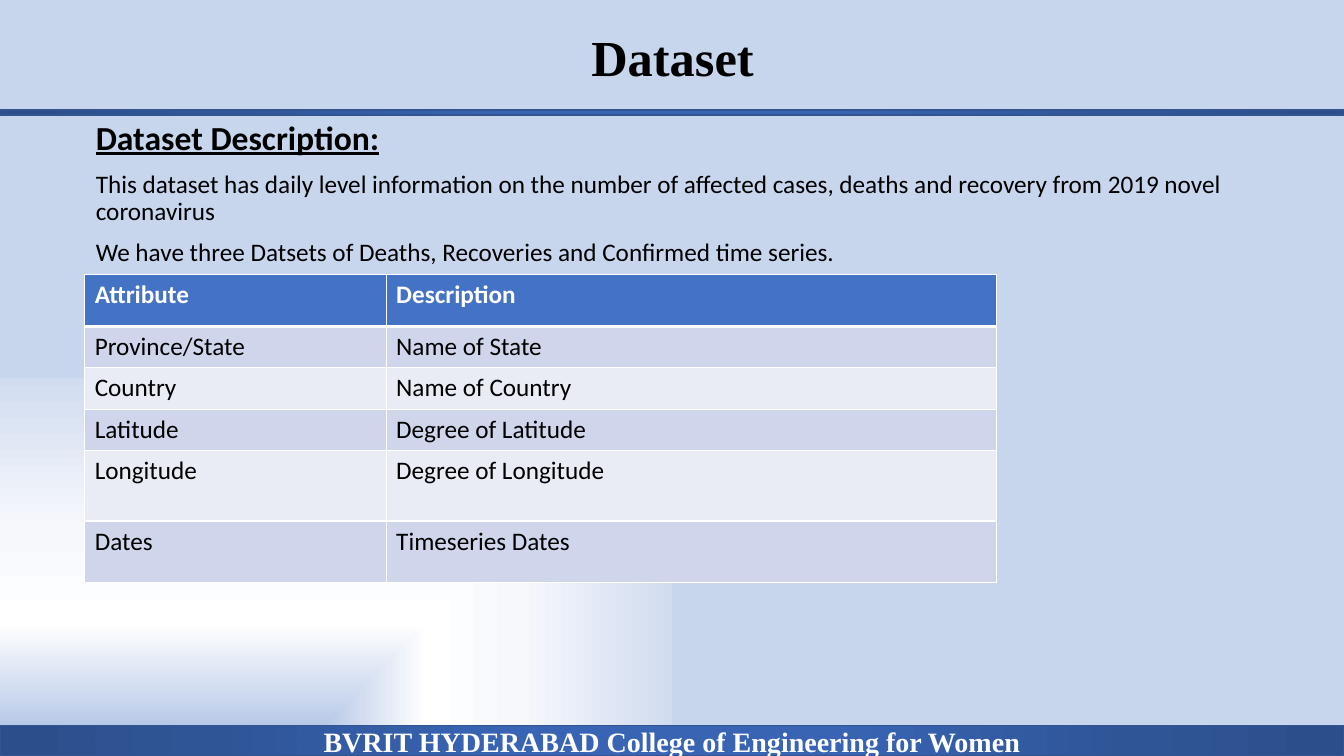
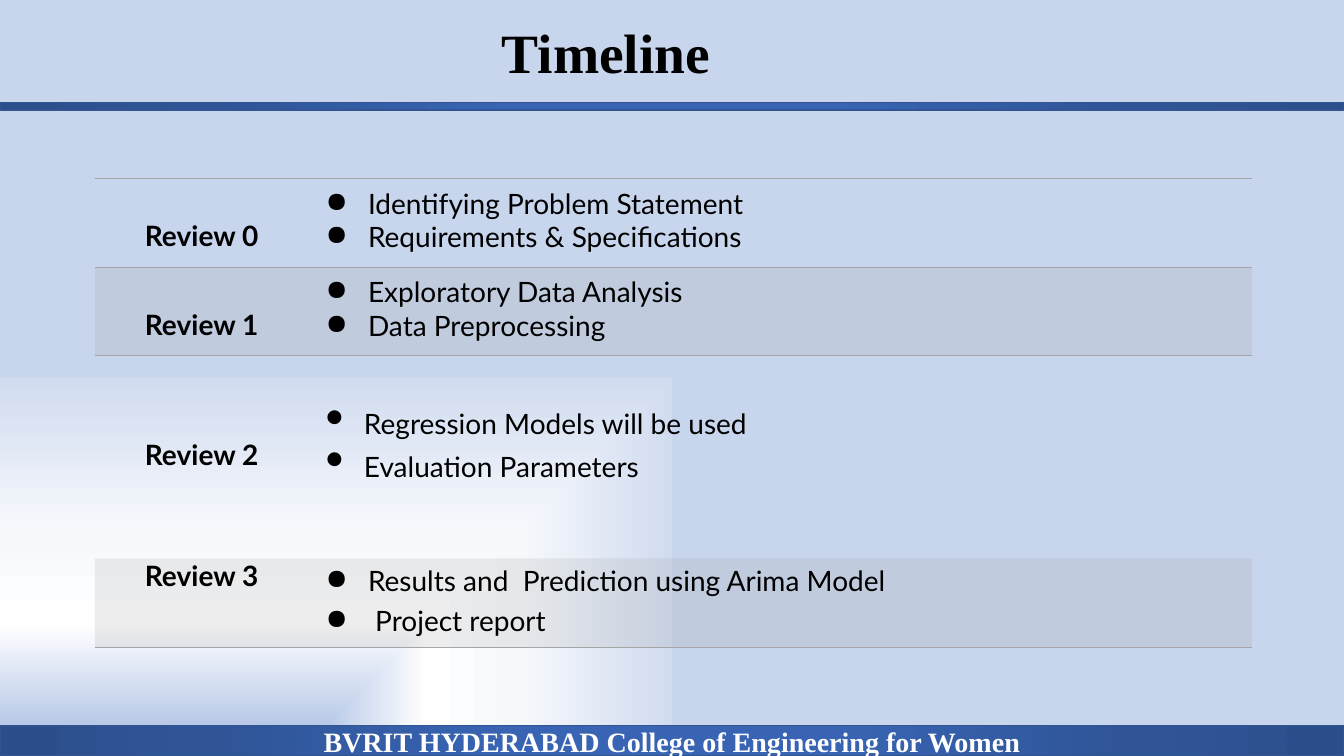
import lxml.etree
import pptx
import pptx.dml.color
import pptx.enum.shapes
import pptx.enum.text
import pptx.oxml.ns
import pptx.util

Inches = pptx.util.Inches
Pt = pptx.util.Pt
qn = pptx.oxml.ns.qn
ALIGN = pptx.enum.text.PP_ALIGN
MIDDLE = pptx.enum.text.MSO_ANCHOR.MIDDLE

WIDTH, HEIGHT = 13.33, 7.5
BLACK, WHITE, GREY = "000000", "FFFFFF", "A5A5A5"
HEADER_BLUE, ROW_DARK, ROW_LIGHT = "4472C4", "CFD5EA", "E9EBF5"
BAND_EDGE = "325491"
BAND_STOPS = [(0, "3864B3"), (23, "3864B3"), (69, "2F5597"), (97, "2C4F8C")]
PAGE_STOPS = [(6, "BECEEA"), (7, "B5C7E7"), (35, "FFFFFF"), (60, "F6F8FC"),
              (100, "D1DCF0"), (100, "ABC0E4"), (100, "C7D5ED")]
SERIF, SANS, LIST_FONT = "Times New Roman", "Calibri", "Lato"
FOOTER = "BVRIT HYDERABAD College of Engineering for Women"
NO_STYLE = "{2D5ABB26-0587-4C30-8999-92F81FD0307C}"

ATTRIBUTES = [
    ("Attribute", "Description"),
    ("Province/State", "Name of State"),
    ("Country", "Name of Country"),
    ("Latitude", "Degree of Latitude"),
    ("Longitude", "Degree of Longitude"),
    ("Dates", "Timeseries Dates"),
]
# Label, its top margin, list items, their top margin, bullet and paragraph format
PLAIN_BULLET = {"bullet": "●", "indent": 0.59, "hang": 0.42}
LARGE_BULLET = {"bullet": "•", "bullet_size": 190, "indent": 0.55, "hang": 0.38, "before": 6}
REVIEWS = [
    ("Review 0", 0.4, ["Identifying Problem Statement", "Requirements & Speciﬁcations"],
     0.08, PLAIN_BULLET),
    ("Review 1", 0.4, ["Exploratory Data Analysis", "Data Preprocessing"],
     0.08, PLAIN_BULLET),
    ("Review 2", 0.81, ["Regression Models will be used", "Evaluation Parameters"],
     0.51, LARGE_BULLET),
    ("Review 3", 0, ["Results and  Prediction using Arima Model", " Project report"],
     0.08, {**PLAIN_BULLET, "spacing": Pt(22.3), "before": 6}),
]


def color(value):
    return pptx.dml.color.RGBColor.from_string(value)


def add_node(parent, tag, **attributes):
    node = lxml.etree.SubElement(parent, qn(tag))
    for name, value in attributes.items():
        node.set(name, str(value))
    return node


def set_gradient(fill, holder, stops, shape, focus):
    """Fill the holder element with a path gradient around the focus rectangle."""
    fill.solid()
    solid = holder.find(qn("a:solidFill"))
    gradient = lxml.etree.Element(qn("a:gradFill"), rotWithShape="1")
    stop_list = add_node(gradient, "a:gsLst")
    for position, value in stops:
        stop = add_node(stop_list, "a:gs", pos=position * 1000)
        add_node(stop, "a:srgbClr", val=value)
    outline = add_node(gradient, "a:path", path=shape)
    sides = {side: part * 1000 for side, part in zip("ltrb", focus)}
    add_node(outline, "a:fillToRect", **sides)
    holder.replace(solid, gradient)


def write(para, text, font=SANS, size=18, fill=BLACK, bold=False, underline=False,
          align=ALIGN.LEFT, spacing=None, before=0, bullet=None, bullet_size=100,
          indent=0, hang=0):
    properties = para._p.get_or_add_pPr()
    properties.set("marL", str(Inches(indent)))
    properties.set("indent", str(-Inches(hang)))
    if bullet:
        add_node(properties, "a:buSzPct", val=bullet_size * 1000)
        add_node(properties, "a:buChar", char=bullet)
    else:
        add_node(properties, "a:buNone")
    para.alignment = align
    para.space_before = Pt(before)
    if spacing:
        para.line_spacing = spacing
    span = para.add_run()
    span.text = text
    span.font.name = font
    span.font.size = Pt(size)
    span.font.bold = bold
    span.font.underline = underline
    span.font.color.rgb = color(fill)


def write_list(frame, entries, **shared):
    """Write (text, format) entries as the paragraphs of a frame."""
    for index, (text, own) in enumerate(entries):
        para = frame.add_paragraph() if index else frame.paragraphs[0]
        options = {**shared, **own}
        if index == 0:
            options["before"] = 0
        write(para, text, **options)


def place(box, left, top, width, height):
    box.left, box.top = Inches(left), Inches(top)
    box.width, box.height = Inches(width), Inches(height)


def add_title(page, text, size, left, top, width, height):
    box = page.shapes.title
    place(box, left, top, width, height)
    frame = box.text_frame
    frame.auto_size = pptx.enum.text.MSO_AUTO_SIZE.NONE
    frame.vertical_anchor = MIDDLE
    write(frame.paragraphs[0], text, font=SERIF, size=size, bold=True,
          align=ALIGN.CENTER, spacing=0.9)


def add_band(page, top, height, text=None):
    """Full-width blue band, with optional centred text."""
    band = page.shapes.add_shape(pptx.enum.shapes.MSO_SHAPE.RECTANGLE, 0, Inches(top),
                                 Inches(WIDTH), Inches(height))
    band.shadow.inherit = False
    set_gradient(band.fill, band._element.spPr, BAND_STOPS, "circle", (50, 50, 50, 50))
    band.line.color.rgb = color(BAND_EDGE)
    band.line.width = Pt(1)
    if text:
        frame = band.text_frame
        frame.margin_top = frame.margin_bottom = 0
        frame.vertical_anchor = MIDDLE
        write(frame.paragraphs[0], text, font=SERIF, size=20, fill=WHITE, bold=True,
              align=ALIGN.CENTER)


def add_bands(page, rule_top, rule_height):
    add_band(page, rule_top, rule_height)
    add_band(page, HEIGHT - 0.3, 0.3, FOOTER)


def add_grid(page, left, top, widths, heights):
    """Unstyled table with the given column widths and row heights."""
    frame = page.shapes.add_table(len(heights), len(widths), Inches(left), Inches(top),
                                  Inches(sum(widths)), Inches(sum(heights)))
    table = frame.table
    table.first_row = table.horz_banding = False
    table._tbl.tblPr.find(qn("a:tableStyleId")).text = NO_STYLE
    for column, width in zip(table.columns, widths):
        column.width = Inches(width)
    for row, height in zip(table.rows, heights):
        row.height = Inches(height)
    return table


def format_cell(cell, borders, border_color, fill=None, opacity=100):
    """Draw borders, a dict of side (L, R, T, B) to points, and fill the cell."""
    properties = cell._tc.get_or_add_tcPr()
    for side in "LRTB":
        if side in borders:
            line = add_node(properties, "a:ln" + side, w=Pt(borders[side]))
            add_node(add_node(line, "a:solidFill"), "a:srgbClr", val=border_color)
    if fill:
        cell.fill.solid()
        cell.fill.fore_color.rgb = color(fill)
        if opacity < 100:
            tint = properties.find(qn("a:solidFill")).find(qn("a:srgbClr"))
            add_node(tint, "a:alpha", val=opacity * 1000)


def add_description(page, left, top, width, height):
    box = page.placeholders[1]
    place(box, left, top, width, height)
    frame = box.text_frame
    frame.auto_size = pptx.enum.text.MSO_AUTO_SIZE.NONE
    write_list(frame, [
        ("Dataset Description:", {"size": 24, "bold": True, "underline": True}),
        ("This dataset has daily level information on the number of affected cases, "
         "deaths and recovery from 2019 novel coronavirus", {}),
        ("We have three Datsets of Deaths, Recoveries and Confirmed time series.", {}),
    ], spacing=0.9, before=10)


def add_attribute_table(page, left, top):
    table = add_grid(page, left, top, [2.99, 6.05], [0.52, 0.41, 0.41, 0.41, 0.7, 0.61])
    table.first_row = True
    for row, texts in enumerate(ATTRIBUTES):
        header = row == 0
        fill = HEADER_BLUE if header else (ROW_LIGHT, ROW_DARK)[row % 2]
        borders = {"L": 1, "R": 1, "T": 3 if row == 1 else 1, "B": 3 if header else 1}
        for column, text in enumerate(texts):
            cell = table.cell(row, column)
            format_cell(cell, borders, WHITE, fill)
            write(cell.text_frame.paragraphs[0], text, bold=header,
                  fill=WHITE if header else BLACK)


def add_review_table(page, left, top):
    table = add_grid(page, left, top, [2.12, 9.36], [0.88, 0.88, 2.01, 0.88])
    borders = [{"T": 1, "B": 1}, {"T": 1}, {}, {"B": 1}]
    for row, (label, label_top, items, items_top, style) in enumerate(REVIEWS):
        label_cell, items_cell = table.cell(row, 0), table.cell(row, 1)
        for cell, margin in ((label_cell, label_top), (items_cell, items_top)):
            cell.margin_left = cell.margin_right = cell.margin_bottom = 0
            cell.margin_top = Inches(margin)
            format_cell(cell, borders[row], GREY, GREY if row % 2 else None, 20)
        write(label_cell.text_frame.paragraphs[0], label, font=LIST_FONT, size=20,
              bold=True, align=ALIGN.CENTER)
        write_list(items_cell.text_frame, [(item, {}) for item in items],
                   font=LIST_FONT, size=20, **style)


def build_dataset(deck):
    page = deck.slides.add_slide(deck.slide_layouts[1])
    add_title(page, "Dataset", 36, 0.92, 0.3, 11.5, 0.6)
    add_description(page, 0.85, 1.15, 11.5, 5.54)
    add_attribute_table(page, 0.84, 2.72)
    add_bands(page, 1.09, 0.05)


def build_timeline(deck):
    page = deck.slides.add_slide(deck.slide_layouts[5])
    add_title(page, "Timeline", 39.6, 0, 0.21, 12.02, 0.69)
    add_review_table(page, 0.94, 1.77)
    add_bands(page, 1.02, 0.07)


def main():
    deck = pptx.Presentation()
    deck.slide_width, deck.slide_height = Inches(WIDTH), Inches(HEIGHT)
    master = deck.slide_master
    fill = master.background.fill
    fill.solid()
    holder = next(master.element.iter(qn("p:bgPr")))
    set_gradient(fill, holder, PAGE_STOPS, "rect", (0, 100, 100, 0))
    build_dataset(deck)
    build_timeline(deck)
    deck.save("out.pptx")


if __name__ == "__main__":
    main()
